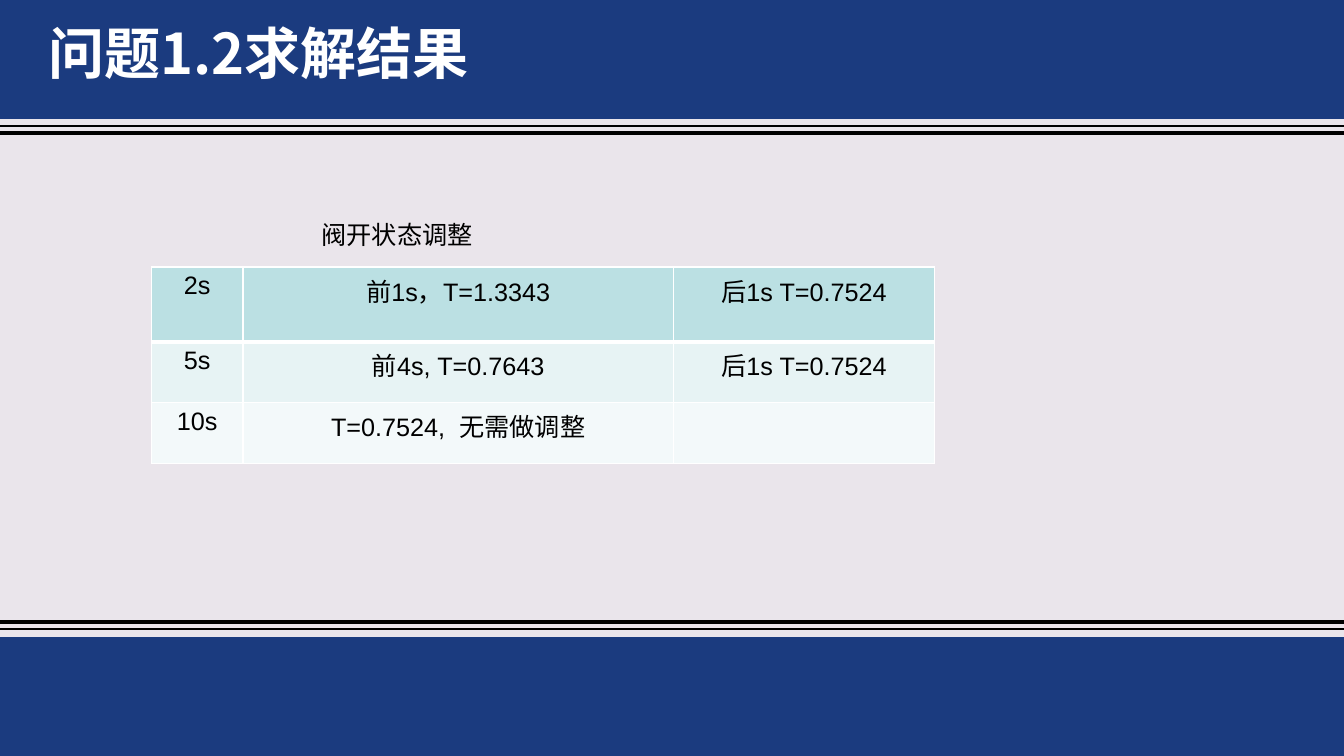
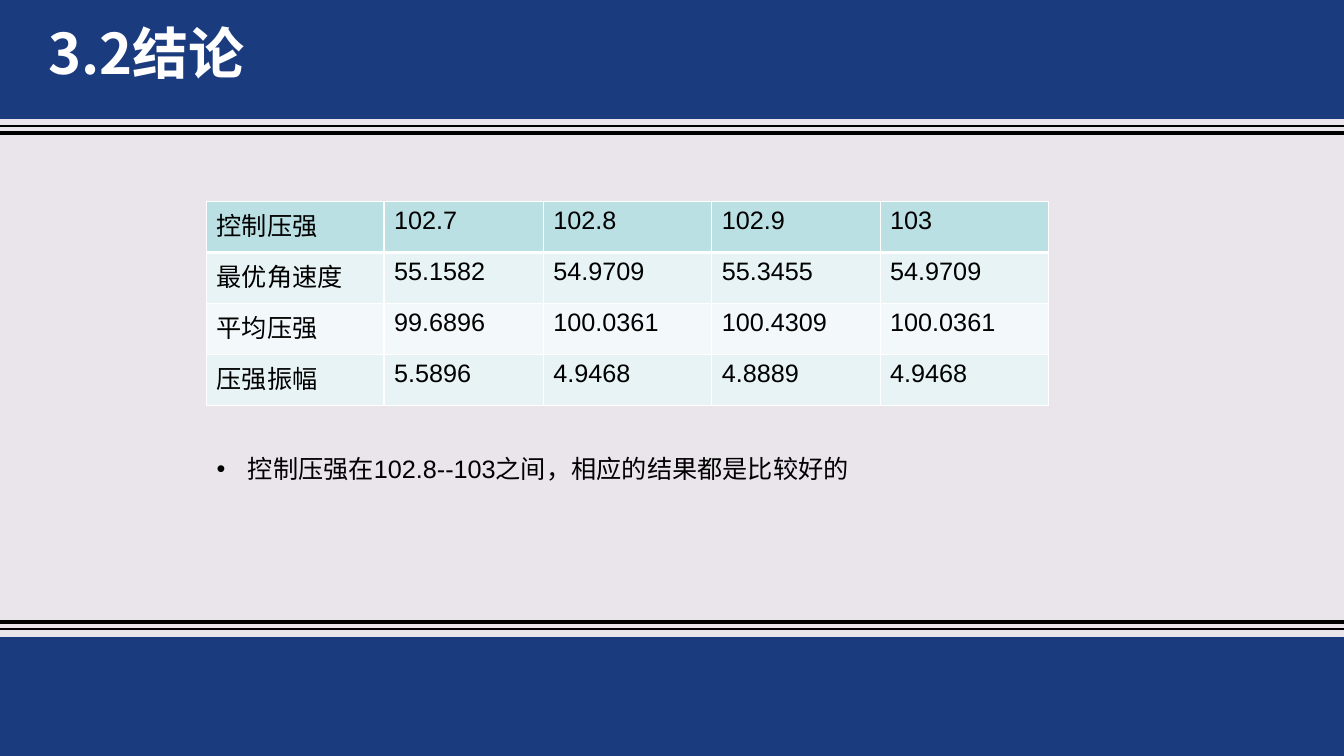
"""Build two result slides that share one banded layout."""
from dataclasses import dataclass
from typing import Any

from lxml.etree import SubElement
from pptx import Presentation
from pptx.dml.color import RGBColor
from pptx.enum.shapes import MSO_CONNECTOR, MSO_SHAPE
from pptx.enum.text import MSO_ANCHOR, MSO_AUTO_SIZE, PP_ALIGN
from pptx.oxml.ns import qn
from pptx.util import Emu, Inches, Pt

SLIDE_WIDTH, SLIDE_HEIGHT = Inches(13.33), Inches(7.5)
NAVY, BLACK, WHITE, PAPER = "1B3B7F", "000000", "FFFFFF", "EAE5EB"
HEADER_FILL, STRIPE_FILLS = "BBE0E3", ("E7F3F4", "F3F9FA")
EAST_ASIAN_FONT = "Noto Sans CJK SC"
TITLE_FORMAT = {"name": EAST_ASIAN_FONT, "size": Pt(40), "bold": True}
BODY_FORMAT = {"name": "Arial", "size": Pt(18), "bold": False}
BAND_HEIGHT = 15.73
BAND_TOPS = (0, 100 - BAND_HEIGHT)
TITLE_LEFT, TITLE_TOP, TITLE_HEIGHT = 2.85, 2.8, 10.27
TEXT_HEIGHT = 5.33


@dataclass(frozen=True)
class Rule:
    """A full-width line at a percentage of the slide's height."""
    top: float
    weight: float


@dataclass(frozen=True)
class Note:
    """A line of body text placed in percentages of the slide."""
    text: str
    left: float
    top: float
    width: float
    bulleted: bool = False


@dataclass(frozen=True)
class Grid:
    """A table placed and divided in percentages of the slide."""
    left: float
    top: float
    columns: tuple[float, ...]
    rows: tuple[float, ...]
    cells: tuple[tuple[str, ...], ...]
    alignment: PP_ALIGN


@dataclass(frozen=True)
class Page:
    """The title, table and note of one slide."""
    title: str
    title_width: float
    grid: Grid
    note: Note


RULES = (Rule(82.27, 3), Rule(83.2, 1), Rule(17.6, 3), Rule(16.67, 1))

PAGES = (
    Page(
        "问题1.2求解结果", 36.3,
        Grid(11.25, 35.33, (6.83, 32.03, 19.43), (9.87, 8, 8.13), (
            ("2s", "前1s，T=1.3343", "后1s T=0.7524"),
            ("5s", "前4s, T=0.7643", "后1s T=0.7524"),
            ("10s", "T=0.7524,  无需做调整", ""),
        ), PP_ALIGN.CENTER),
        Note("阀开状态调整", 23.18, 28.4, 25.65),
    ),
    Page(
        "3.2结论", 35.7,
        Grid(15.38, 26.67, (13.2, 11.85) + (12.53,) * 3, (6.73,) * 4, (
            ("控制压强", "102.7", "102.8", "102.9", "103"),
            ("最优角速度", "55.1582", "54.9709", "55.3455", "54.9709"),
            ("平均压强", "99.6896", "100.0361", "100.4309", "100.0361"),
            ("压强振幅", "5.5896", "4.9468", "4.8889", "4.9468"),
        ), PP_ALIGN.LEFT),
        Note("控制压强在102.8--103之间，相应的结果都是比较好的",
             15.38, 59.33, 61.2, bulleted=True),
    ),
)


def across(percent: float) -> Emu:
    """Turn a percentage of the slide's width into a length."""
    return Emu(round(SLIDE_WIDTH * percent / 100))


def down(percent: float) -> Emu:
    """Turn a percentage of the slide's height into a length."""
    return Emu(round(SLIDE_HEIGHT * percent / 100))


def paint(fill: Any, color: str) -> None:
    """Make a fill solid in a hex colour."""
    fill.solid()
    fill.fore_color.rgb = RGBColor.from_string(color)


def set_attributes(target: Any, values: dict[str, Any]) -> None:
    """Set every named attribute on the target."""
    for name, value in values.items():
        setattr(target, name, value)


def write(paragraph: Any, text: str, font_format: dict[str, Any], color: str) -> None:
    """Add one formatted run to a paragraph."""
    run = paragraph.add_run()
    run.text = text
    set_attributes(run.font, font_format)
    paint(run.font.fill, color)
    SubElement(run.font._element, qn("a:ea"), typeface=EAST_ASIAN_FONT)


def draw_band(slide: Any, top: float) -> Any:
    """Draw one full-width navy band."""
    band = slide.shapes.add_shape(
        MSO_SHAPE.RECTANGLE, 0, down(top), SLIDE_WIDTH, down(BAND_HEIGHT))
    band.shadow.inherit = False
    paint(band.fill, NAVY)
    band.line.fill.background()
    return band


def draw_rule(slide: Any, rule: Rule) -> Any:
    """Draw one full-width black line."""
    line = slide.shapes.add_connector(
        MSO_CONNECTOR.STRAIGHT, 0, down(rule.top), SLIDE_WIDTH, down(rule.top))
    paint(line.line.fill, BLACK)
    line.line.width = Pt(rule.weight)
    SubElement(line._element.spPr, qn("a:effectLst"))
    return line


def furnish_layout(slide: Any) -> None:
    """Put the background, rules and bands on the slide's master and layout."""
    layout = slide.slide_layout
    paint(layout.slide_master.background.fill, PAPER)
    furniture = [draw_rule(slide, rule) for rule in RULES]
    furniture += [draw_band(slide, top) for top in BAND_TOPS]
    for shape in furniture:
        layout.shapes.element.append(shape.element)


def fill_title(slide: Any, page: Page) -> None:
    """Place and format the title placeholder."""
    title = slide.shapes.title
    set_attributes(title, {
        "left": across(TITLE_LEFT), "top": down(TITLE_TOP),
        "width": across(page.title_width), "height": down(TITLE_HEIGHT)})
    set_attributes(title.text_frame, {
        "word_wrap": True, "auto_size": MSO_AUTO_SIZE.NONE,
        "vertical_anchor": MSO_ANCHOR.TOP})
    paragraph = title.text_frame.paragraphs[0]
    set_attributes(paragraph, {"alignment": PP_ALIGN.LEFT, "line_spacing": 0.9})
    write(paragraph, page.title, TITLE_FORMAT, WHITE)


def draw_note(slide: Any, note: Note) -> None:
    """Draw one line of body text, with a bullet if asked."""
    box = slide.shapes.add_textbox(
        across(note.left), down(note.top), across(note.width), down(TEXT_HEIGHT))
    box.text_frame.word_wrap = True
    paragraph = box.text_frame.paragraphs[0]
    if note.bulleted:
        properties = paragraph._p.get_or_add_pPr()
        indent = Inches(0.31)
        properties.set("marL", str(indent))
        properties.set("indent", str(-indent))
        SubElement(properties, qn("a:buFont"), typeface="Arial")
        SubElement(properties, qn("a:buChar"), char="•")
    write(paragraph, note.text, BODY_FORMAT, BLACK)


def border_cell(cell: Any, row: int) -> None:
    """Give a cell white borders, thick under the header row."""
    weights = {"lnL": 1, "lnR": 1, "lnT": 3 if row == 1 else 1,
               "lnB": 3 if row == 0 else 1}
    properties = cell._tc.get_or_add_tcPr()
    for side, weight in weights.items():
        line = SubElement(properties, qn(f"a:{side}"), w=str(Pt(weight)))
        SubElement(SubElement(line, qn("a:solidFill")), qn("a:srgbClr"), val=WHITE)


def draw_grid(slide: Any, grid: Grid) -> None:
    """Draw a table with a header row and striped body rows."""
    table = slide.shapes.add_table(
        len(grid.rows), len(grid.columns), across(grid.left), down(grid.top),
        across(sum(grid.columns)), down(sum(grid.rows))).table
    for column, width in zip(table.columns, grid.columns):
        column.width = across(width)
    for row, height in zip(table.rows, grid.rows):
        row.height = down(height)
    for row_index, texts in enumerate(grid.cells):
        color = STRIPE_FILLS[(row_index - 1) % 2] if row_index else HEADER_FILL
        for column_index, text in enumerate(texts):
            cell = table.cell(row_index, column_index)
            border_cell(cell, row_index)
            paint(cell.fill, color)
            if text:
                paragraph = cell.text_frame.paragraphs[0]
                paragraph.alignment = grid.alignment
                write(paragraph, text, BODY_FORMAT, BLACK)


def main() -> None:
    """Build and save the presentation."""
    presentation = Presentation()
    set_attributes(presentation, {
        "slide_width": SLIDE_WIDTH, "slide_height": SLIDE_HEIGHT})
    layout = presentation.slide_layouts.get_by_name("Title Only")
    for index, page in enumerate(PAGES):
        slide = presentation.slides.add_slide(layout)
        if index == 0:
            furnish_layout(slide)
        fill_title(slide, page)
        draw_grid(slide, page.grid)
        draw_note(slide, page.note)
    presentation.save("out.pptx")


if __name__ == "__main__":
    main()
